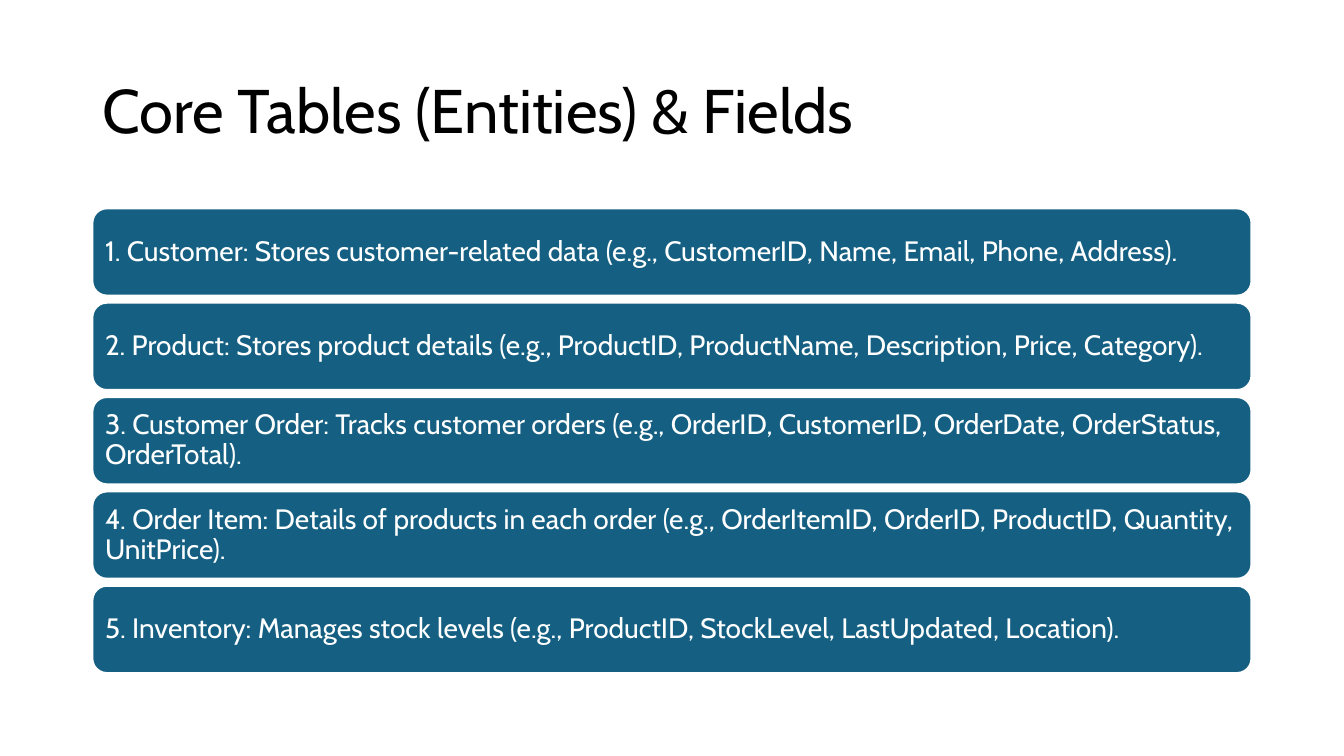
from dataclasses import dataclass

from pptx import Presentation
from pptx.dml.color import RGBColor
from pptx.enum.shapes import MSO_SHAPE as Preset
from pptx.enum.text import MSO_ANCHOR as Anchor, PP_ALIGN as Align
from pptx.slide import Slide
from pptx.text.text import TextFrame
from pptx.util import Pt

COLORS = {"title": "000000", "bar": "156082", "white": "FFFFFF"}
FONT = "Cabin"

# Layout, in points
LEFT, WIDTH = 66, 828
BAR_TOP, BAR_HEIGHT, BAR_PITCH = 148.8, 62.4, 67.4


@dataclass
class Entity:
    name: str
    purpose: str
    fields: str


ENTITIES = [
    Entity("Customer", "Stores customer-related data",
           "CustomerID, Name, Email, Phone, Address"),
    Entity("Product", "Stores product details",
           "ProductID, ProductName, Description, Price, Category"),
    Entity("Customer Order", "Tracks customer orders",
           "OrderID, CustomerID, OrderDate, OrderStatus, OrderTotal"),
    Entity("Order Item", "Details of products in each order",
           "OrderItemID, OrderID, ProductID, Quantity, UnitPrice"),
    Entity("Inventory", "Manages stock levels",
           "ProductID, StockLevel, LastUpdated, Location"),
]


def color(name: str) -> RGBColor:
    return RGBColor.from_string(COLORS[name])


def write(frame: TextFrame, text: str, size: float, color_name: str) -> None:
    """Fill a frame with one left-aligned, vertically centred paragraph."""
    frame.text = text
    frame.word_wrap = True
    frame.vertical_anchor = Anchor.MIDDLE
    para = frame.paragraphs[0]
    para.alignment = Align.LEFT
    para.line_spacing = 0.9
    for span in para.runs:
        span.font.name = FONT
        span.font.size = Pt(size)
        span.font.color.rgb = color(color_name)


def add_title(page: Slide, text: str) -> None:
    box = page.shapes.add_textbox(Pt(LEFT), Pt(28.8), Pt(WIDTH), Pt(104.4))
    write(box.text_frame, text, 44, "title")


def add_bar(page: Slide, index: int, entity: Entity) -> None:
    top = BAR_TOP + index * BAR_PITCH
    bar = page.shapes.add_shape(Preset.ROUNDED_RECTANGLE, Pt(LEFT), Pt(top),
                                Pt(WIDTH), Pt(BAR_HEIGHT))
    bar.shadow.inherit = False
    bar.fill.solid()
    bar.fill.fore_color.rgb = color("bar")
    bar.line.color.rgb = color("white")
    bar.line.width = Pt(1.5)
    frame = bar.text_frame
    frame.margin_left = frame.margin_right = Pt(6)
    frame.margin_top = frame.margin_bottom = Pt(6)
    text = f"{index + 1}. {entity.name}: {entity.purpose} (e.g., {entity.fields})."
    write(frame, text, 20, "white")


def main() -> None:
    deck = Presentation()
    deck.slide_width, deck.slide_height = Pt(960), Pt(540)
    page = deck.slides.add_slide(deck.slide_layouts[6])

    # Heading
    add_title(page, "Core Tables (Entities) & Fields")

    # One bar per table
    for index, entity in enumerate(ENTITIES):
        add_bar(page, index, entity)

    deck.save("out.pptx")


if __name__ == "__main__":
    main()
